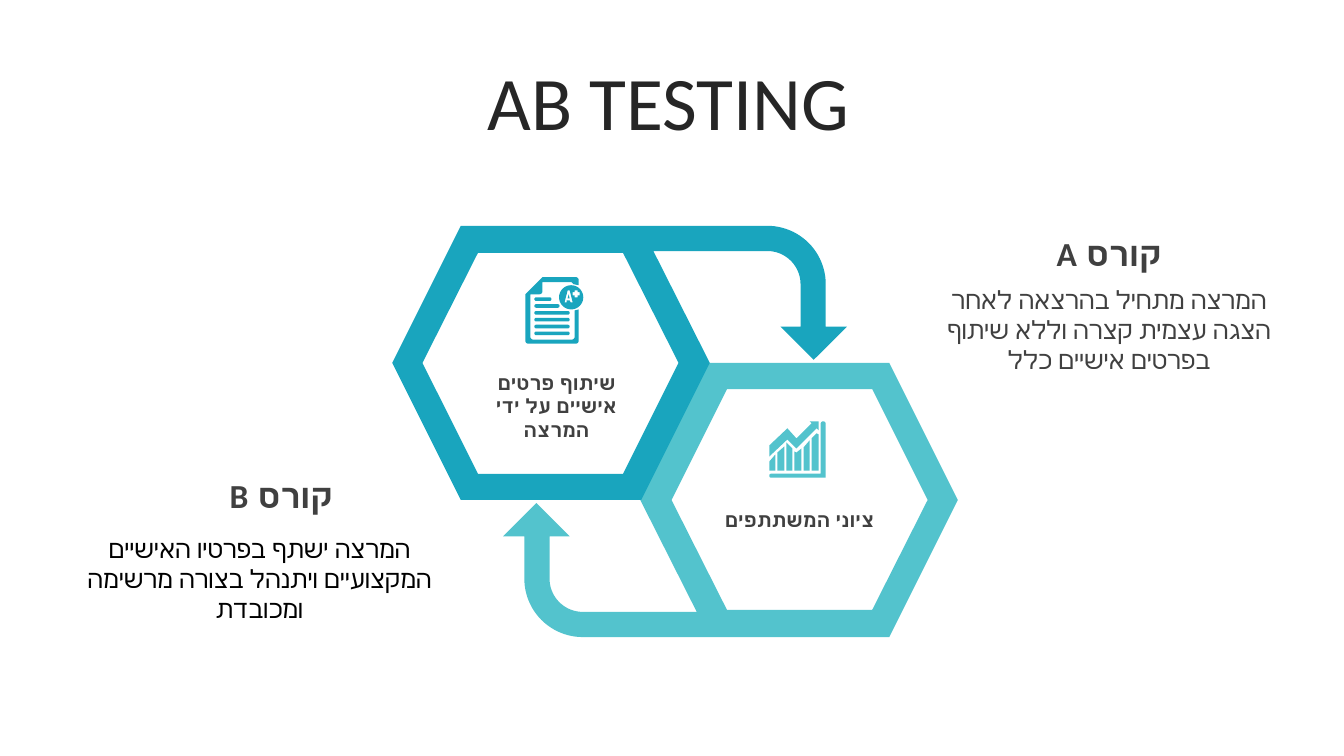
import math
from dataclasses import dataclass

import pptx
import pptx.dml.color
import pptx.enum.text
import pptx.shapes.autoshape
import pptx.slide
import pptx.util

Inches = pptx.util.Inches
Point = tuple[float, float]
Contour = list[Point]


@dataclass(frozen=True)
class Theme:
    font: str = "Calibri"
    dark_teal: str = "19A5BE"
    light_teal: str = "53C3CD"
    title_color: str = "262626"
    gray: str = "404040"
    black: str = "000000"
    title_size: int = 54
    heading_size: int = 24
    body_size: int = 18
    label_size: int = 14


@dataclass(frozen=True)
class TextItem:
    text: str
    left: float
    top: float
    width: float
    height: float
    size: int
    color: str
    bold: bool = False
    right_to_left: bool = False
    line_spacing: float = 1.0
    middle: bool = False


@dataclass(frozen=True)
class Outline:
    contours: list[Contour]
    color: str
    rotation: int = 0
    place: Point | None = None


THEME = Theme()

TEXTS = [
    TextItem("AB TESTING", 0.3, 0.66, 12.66, 0.79, THEME.title_size,
             THEME.title_color, line_spacing=0.9, middle=True),
    TextItem("המרצה מתחיל בהרצאה לאחר הצגה עצמית קצרה וללא שיתוף בפרטים אישיים כלל",
             9.04, 2.77, 3.92, 1.01, THEME.body_size, THEME.gray),
    TextItem("קורס A", 9.04, 2.26, 3.92, 0.5, THEME.heading_size, THEME.gray,
             bold=True, right_to_left=True),
    TextItem("המרצה ישתף בפרטיו האישיים המקצועיים ויתנהל בצורה מרשימה ומכובדת",
             0.58, 5.24, 3.99, 1.01, THEME.body_size, THEME.black),
    TextItem("קורס B", 0.81, 4.66, 3.96, 0.5, THEME.heading_size, THEME.gray,
             bold=True, right_to_left=True),
    TextItem("שיתוף פרטים אישיים על ידי המרצה", 4.53, 3.63, 1.98, 0.33,
             THEME.label_size, THEME.gray, bold=True),
    TextItem("ציוני המשתתפים", 6.94, 4.99, 1.98, 0.33,
             THEME.label_size, THEME.gray, bold=True),
]


def arc(x: float, y: float, radius: float, start: float, end: float,
        steps: int = 24) -> Contour:
    """Points along a circle, in degrees clockwise from the right."""
    angles = [math.radians(start + (end - start) * i / steps) for i in range(steps + 1)]
    return [(x + radius * math.cos(a), y + radius * math.sin(a)) for a in angles]


def text_line(left: float, right: float, top: float, height: float) -> Contour:
    """A horizontal bar with round ends."""
    radius = height / 2
    middle = top + radius
    return (arc(right - radius, middle, radius, -90, 90, 8)
            + arc(left + radius, middle, radius, 90, 270, 8))


def hexagon_arrow() -> list[Contour]:
    hole = [(4.74, 2.51), (4.19, 3.6), (4.74, 4.7), (6.18, 4.7), (6.73, 3.6), (6.18, 2.51)]
    arrow_head = [(8.19, 3.24), (8.4, 3.24), (8.07, 3.57), (7.74, 3.24), (7.94, 3.24)]
    body = [(6.48, 2.49), (7.04, 3.6), (6.36, 4.96), (4.57, 4.96), (3.89, 3.6), (4.57, 2.24)]
    bend = (7.61, 2.82)
    return [hole, arc(*bend, 0.58, -90, 0) + arrow_head + arc(*bend, 0.33, 0, -90) + body]


def chart_icon() -> list[Contour]:
    base = 4.67
    bar_tops: list[Contour] = [
        [(7.63, 4.58), (7.69, 4.51)],
        [(7.71, 4.49), (7.78, 4.43)],
        [(7.8, 4.39), (7.86, 4.45)],
        [(7.88, 4.48), (7.9, 4.49), (7.95, 4.45)],
        [(7.97, 4.44), (8.03, 4.37)],
        [(8.05, 4.35), (8.1, 4.3), (8.12, 4.31)],
    ]
    bars = [top + [(top[-1][0], base), (top[0][0], base)] for top in bar_tops]
    trend = [(8.12, 4.18), (8.12, 4.27), (8.1, 4.25), (7.9, 4.45), (7.81, 4.36),
             (7.63, 4.53), (7.63, 4.42), (7.81, 4.25), (7.9, 4.35), (8.05, 4.2),
             (8.03, 4.18)]
    axes = ([(8.19, 4.74)] + arc(7.65, 4.72, 0.02, 90, 270, 8)
            + [(8.14, 4.7)] + arc(8.165, 4.205, 0.025, 180, 360, 8))
    return bars + [trend, axes]


def graded_page_icon() -> list[Contour]:
    line_ends = [5.47, 5.55, 5.65, 5.65, 5.65, 5.65]
    lines = [text_line(5.3, right, 2.95 + 0.068 * row, 0.036)
             for row, right in enumerate(line_ends)]
    # Badge with the letter A and a plus sign
    badge = arc(5.665, 2.95, 0.12, 0, 360, 40)
    letter = [(5.63, 2.88), (5.6, 3), (5.62, 3), (5.62, 2.98), (5.65, 2.98),
              (5.66, 3), (5.68, 3), (5.65, 2.88)]
    letter_eye = [(5.64, 2.92), (5.65, 2.96), (5.63, 2.96)]
    plus = [(5.7, 2.88), (5.7, 2.9), (5.68, 2.9), (5.68, 2.93), (5.7, 2.93),
            (5.7, 2.95), (5.73, 2.95), (5.73, 2.93), (5.75, 2.93), (5.75, 2.9),
            (5.73, 2.9), (5.73, 2.88)]
    # Page border with a folded corner
    border = ([(5.38, 2.75)] + arc(5.71, 2.78, 0.03, -90, 0, 6)
              + [(5.74, 2.83), (5.69, 2.82), (5.67, 2.8), (5.38, 2.8)]
              + arc(5.35, 2.89, 0.03, 0, 90, 6) + [(5.26, 2.92)]
              + arc(5.29, 3.34, 0.03, 180, 90, 6) + arc(5.67, 3.34, 0.03, 90, 0, 6)
              + [(5.7, 3.08), (5.74, 3.07)]
              + arc(5.71, 3.38, 0.03, 0, 90, 6) + arc(5.24, 3.38, 0.03, 90, 180, 6)
              + [(5.21, 2.92)])
    return lines + [badge, letter, letter_eye, plus, border]


def draw_outline(page: pptx.slide.Slide, item: Outline) -> None:
    contours = [[(Inches(x), Inches(y)) for x, y in contour] for contour in item.contours]
    builder = page.shapes.build_freeform(*contours[0][0])
    builder.add_line_segments(contours[0][1:], close=True)
    for contour in contours[1:]:
        builder.move_to(*contour[0])
        builder.add_line_segments(contour[1:], close=True)
    shape: pptx.shapes.autoshape.Shape = builder.convert_to_shape()
    if item.place:
        shape.left, shape.top = (Inches(value) for value in item.place)
    shape.rotation = item.rotation
    shape.shadow.inherit = False
    shape.fill.solid()
    shape.fill.fore_color.rgb = pptx.dml.color.RGBColor.from_string(item.color)
    shape.line.fill.background()


def draw_text(page: pptx.slide.Slide, item: TextItem) -> None:
    box = page.shapes.add_textbox(Inches(item.left), Inches(item.top),
                                  Inches(item.width), Inches(item.height))
    frame = box.text_frame
    frame.word_wrap = True
    if item.middle:
        frame.vertical_anchor = pptx.enum.text.MSO_ANCHOR.MIDDLE
    paragraph = frame.paragraphs[0]
    paragraph.text = item.text
    paragraph.alignment = pptx.enum.text.PP_ALIGN.CENTER
    paragraph.line_spacing = item.line_spacing
    if item.right_to_left:
        paragraph._p.get_or_add_pPr().set("rtl", "1")
    font = paragraph.font
    font.name = THEME.font
    font.size = pptx.util.Pt(item.size)
    font.bold = item.bold
    font.color.rgb = pptx.dml.color.RGBColor.from_string(item.color)


def main() -> None:
    deck = pptx.Presentation()
    deck.slide_width, deck.slide_height = Inches(13.33), Inches(7.5)
    page = deck.slides.add_slide(deck.slide_layouts[6])

    # Interlocking hexagons, then their icons
    outlines = [
        Outline(hexagon_arrow(), THEME.light_teal, rotation=180, place=(4.99, 3.6)),
        Outline(hexagon_arrow(), THEME.dark_teal),
        Outline(chart_icon(), THEME.light_teal),
        Outline(graded_page_icon(), THEME.dark_teal),
    ]
    for outline in outlines:
        draw_outline(page, outline)

    # Title, course descriptions and hexagon labels
    for text in TEXTS:
        draw_text(page, text)

    deck.save("out.pptx")


if __name__ == "__main__":
    main()
